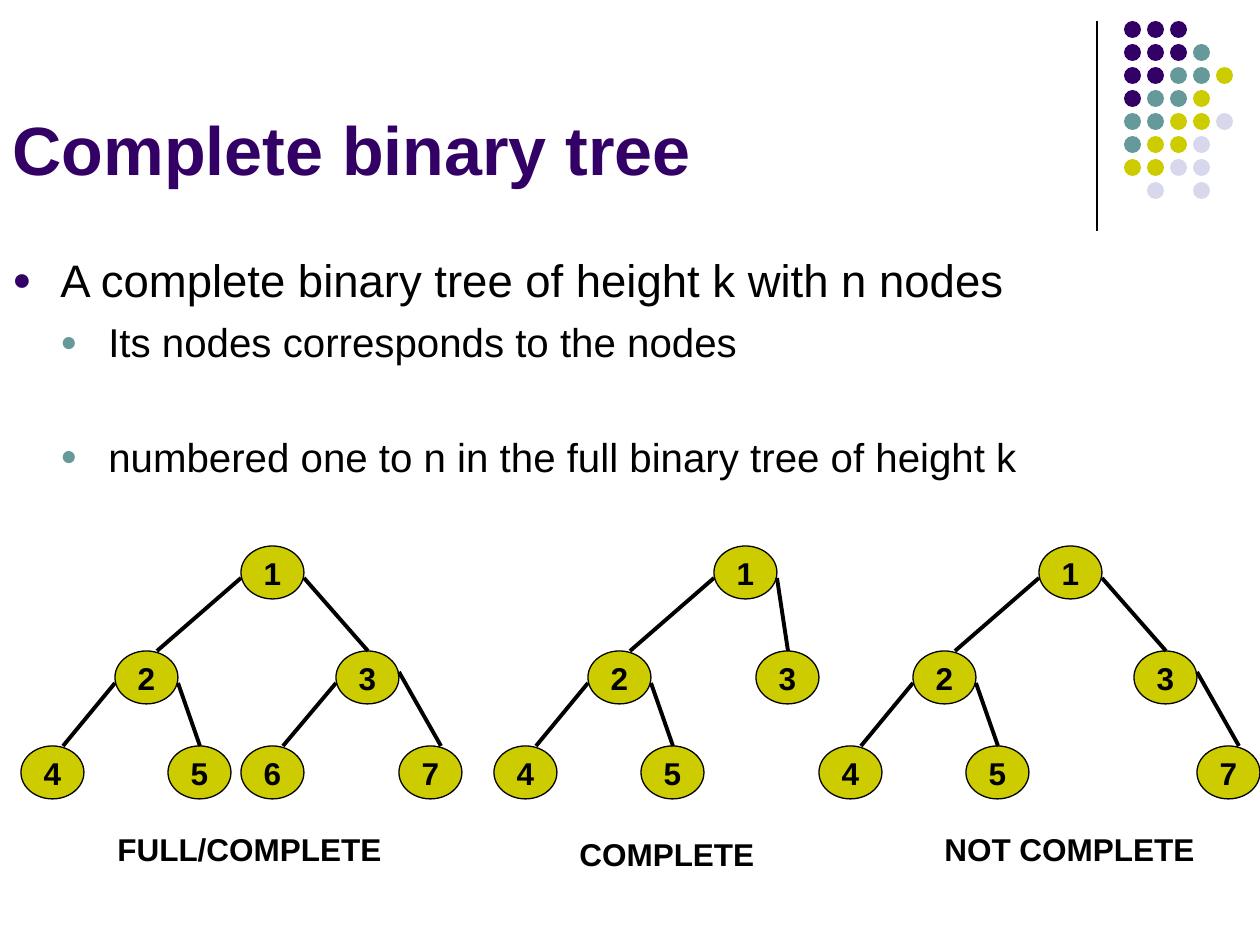
from lxml.etree import SubElement
from pptx import Presentation
from pptx.dml.color import RGBColor
from pptx.enum.shapes import MSO_CONNECTOR, MSO_SHAPE
from pptx.enum.text import MSO_ANCHOR, PP_ALIGN
from pptx.oxml.ns import qn
from pptx.util import Pt

SCALE = 914400 / 126
COLORS = {
    "ink": "000000",
    "purple": "330066",
    "teal": "669999",
    "olive": "CCCC00",
    "lavender": "D8D8EC",
}
DOT_COLORS = {"P": "purple", "T": "teal", "O": "olive", "L": "lavender"}
DOT_ROWS = ["PPP", "PPPT", "PPTTO", "PTTO", "TTOOL", "TOOL", "OOLL", " L L"]
DOT_SIZE, DOT_PITCH = 17, 23

NODE_WIDTH, NODE_HEIGHT = 63, 53
NODES = {
    1: (220, 546),
    2: (94, 651),
    3: (315, 651),
    4: (0, 746),
    5: (147, 746),
    6: (220, 746),
    7: (378, 746),
}
EDGES = {
    2: (32, 42),
    3: (32, 32),
    4: (32, 42),
    5: (32, 32),
    6: (32, 42),
    7: (21, 42),
}
TREES = [
    (21, {number: NODES[number] for number in range(1, 8)},
     "FULL/COMPLETE", (105, 824, 290, 50)),
    (494, {**{number: NODES[number] for number in (1, 2, 4, 5)}, 3: (262, 651)},
     "COMPLETE", (567, 829, 200, 50)),
    (819, {number: NODES[number] for number in (1, 2, 3, 4, 5, 7)},
     "NOT COMPLETE", (932, 824, 276, 50)),
]
BULLETS = [
    ("A complete binary tree of height k with n nodes", 0, 26, "purple", 0),
    ("Its nodes corresponds to the nodes", 1, 23, "teal", 6),
    ("numbered one to n in the full binary tree of height k", 1, 23, "teal", 38),
]


def px(length):
    return round(length * SCALE)


def rgb(name):
    return RGBColor.from_string(COLORS[name])


def write_text(paragraph, text, size=18, color="ink", bold=False, align=PP_ALIGN.LEFT):
    paragraph.alignment = align
    span = paragraph.add_run()
    span.text = text
    span.font.name = "Arial"
    span.font.size = Pt(size)
    span.font.bold = bold
    span.font.color.rgb = rgb(color)


def add_bullet(paragraph, level, color):
    properties = paragraph._p.get_or_add_pPr()
    properties.set("marL", str(px(48 * (level + 1))))
    properties.set("indent", str(px(-48)))
    bullet_color = SubElement(properties, qn("a:buClr"))
    SubElement(bullet_color, qn("a:srgbClr"), val=COLORS[color])
    SubElement(properties, qn("a:buSzPct"), val="70000")
    SubElement(properties, qn("a:buFont"), typeface="Arial")
    SubElement(properties, qn("a:buChar"), char="●")
    paragraph.level = level


def add_box(page, area, wrap=True, anchor=MSO_ANCHOR.TOP):
    frame = page.shapes.add_textbox(*map(px, area)).text_frame
    frame.word_wrap = wrap
    frame.vertical_anchor = anchor
    return frame


def add_ellipse(page, area, color):
    ellipse = page.shapes.add_shape(MSO_SHAPE.OVAL, *map(px, area))
    ellipse.shadow.inherit = False
    ellipse.fill.solid()
    ellipse.fill.fore_color.rgb = rgb(color)
    ellipse.line.fill.background()
    return ellipse


def add_line(page, start, end, width):
    line = page.shapes.add_connector(MSO_CONNECTOR.STRAIGHT, *map(px, (*start, *end)))
    line.line.color.rgb = rgb("ink")
    line.line.width = Pt(width)
    SubElement(line._element.spPr, qn("a:effectLst"))


def add_dots(page):
    for row, pattern in enumerate(DOT_ROWS):
        for column, letter in enumerate(pattern):
            if letter in DOT_COLORS:
                left, top = 1124 + column * DOT_PITCH, 21 + row * DOT_PITCH
                add_ellipse(page, (left, top, DOT_SIZE, DOT_SIZE), DOT_COLORS[letter])


def add_node(page, left, top, number):
    node = add_ellipse(page, (left, top, NODE_WIDTH, NODE_HEIGHT), "olive")
    node.line.color.rgb = rgb("ink")
    node.line.width = Pt(0.75)
    frame = node.text_frame
    frame.word_wrap = False
    frame.vertical_anchor = MSO_ANCHOR.MIDDLE
    write_text(frame.paragraphs[0], str(number), bold=True, align=PP_ALIGN.CENTER)


def add_tree(page, origin, nodes, label, label_area):
    for number, (left, top) in sorted(nodes.items()):
        add_node(page, origin + left, top, number)
    for child, (drop, inset) in EDGES.items():
        if child in nodes:
            parent_left, parent_top = nodes[child // 2]
            child_left, child_top = nodes[child]
            side = NODE_WIDTH * (child % 2)
            start = (origin + parent_left + side, parent_top + drop)
            add_line(page, start, (origin + child_left + inset, child_top), 2.25)
    frame = add_box(page, label_area, wrap=False)
    write_text(frame.paragraphs[0], label, bold=True)


def add_body(page):
    frame = add_box(page, (0, 246, 1260, 280))
    for index, (text, level, size, color, gap) in enumerate(BULLETS):
        paragraph = frame.add_paragraph() if index else frame.paragraphs[0]
        add_bullet(paragraph, level, color)
        if gap:
            paragraph.space_before = Pt(gap)
        write_text(paragraph, text, size=size)


def main():
    deck = Presentation()
    deck.slide_width, deck.slide_height = px(1260), px(945)
    page = deck.slides.add_slide(deck.slide_layouts[6])
    add_line(page, (1097, 21), (1097, 231), 0.75)
    add_dots(page)
    title = add_box(page, (0, 0, 1102, 195), anchor=MSO_ANCHOR.BOTTOM)
    write_text(title.paragraphs[0], "Complete binary tree", size=39, color="purple", bold=True)
    add_body(page)
    for tree in TREES:
        add_tree(page, *tree)
    deck.save("out.pptx")


if __name__ == "__main__":
    main()
